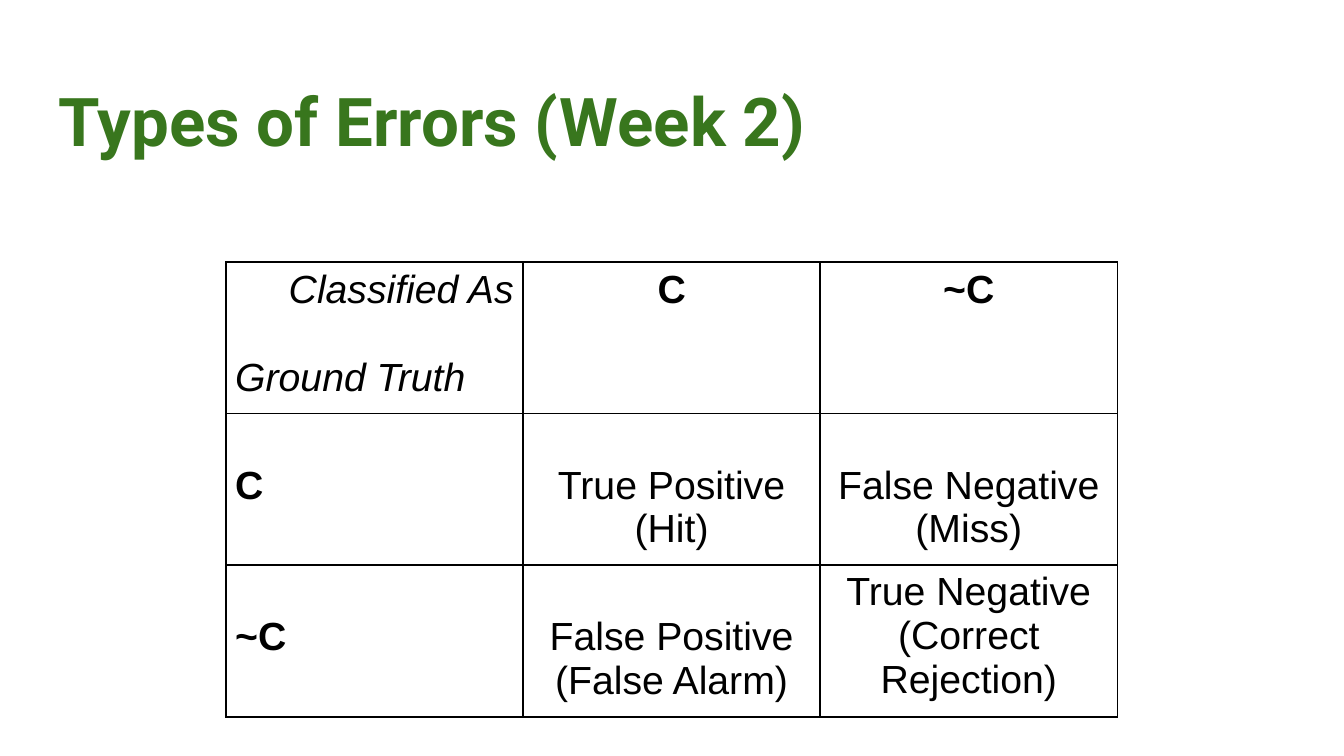
import pptx
import pptx.util
import pptx.dml.color
import pptx.enum.text
import pptx.oxml

Pt = pptx.util.Pt
RGB = pptx.dml.color.RGBColor.from_string
ALIGN = pptx.enum.text.PP_ALIGN
COLORS = {"title": "38761D", "text": "000000", "border": "000000"}
LINE_HEIGHT = 24
NAMESPACE = "http://schemas.openxmlformats.org/drawingml/2006/main"

presentation = pptx.Presentation()
presentation.slide_width = Pt(720)
presentation.slide_height = Pt(405)
slide = presentation.slides.add_slide(presentation.slide_layouts[6])


def style(paragraph, name, size, color, bold=False, italic=False):
    paragraph.font.name = name
    paragraph.font.size = Pt(size)
    paragraph.font.color.rgb = RGB(color)
    paragraph.font.bold = bold
    paragraph.font.italic = italic


def add_borders(cell):
    properties = cell._tc.get_or_add_tcPr()
    for position, side in enumerate(("lnL", "lnR", "lnT", "lnB")):
        border = pptx.oxml.parse_xml(
            f'<a:{side} xmlns:a="{NAMESPACE}" w="{Pt(1)}"><a:solidFill>'
            f'<a:srgbClr val="{COLORS["border"]}"/></a:solidFill></a:{side}>'
        )
        properties.insert(position, border)


title = slide.shapes.add_textbox(Pt(24.5), Pt(35.3), Pt(671), Pt(45.4))
title_frame = title.text_frame
title_frame.word_wrap = True
title_frame.margin_left = title_frame.margin_right = Pt(7.2)
title_frame.margin_top = title_frame.margin_bottom = Pt(7.2)
title_frame.text = "Types of Errors (Week 2)"
style(title_frame.paragraphs[0], "Roboto", 36, COLORS["title"], bold=True)

rows = [
    ["Classified As\nGround Truth", "C", "~C"],
    ["C", "True Positive\n(Hit)", "False Negative\n(Miss)"],
    ["~C", "False Positive\n(False Alarm)", "True Negative\n(Correct Rejection)"],
]
lowered_cells = {(1, 0), (1, 1), (1, 2), (2, 0), (2, 1)}

table = slide.shapes.add_table(3, 3, Pt(121), Pt(140.4), Pt(477.6), Pt(243.3)).table
table.first_row = table.horz_banding = False
for column in table.columns:
    column.width = Pt(159.2)
for row in table.rows:
    row.height = Pt(81.1)

for row_index, texts in enumerate(rows):
    for column_index, text in enumerate(texts):
        cell = table.cell(row_index, column_index)
        corner = row_index == column_index == 0
        lowered = (row_index, column_index) in lowered_cells
        cell.margin_left = cell.margin_right = Pt(5)
        cell.margin_top = Pt(3 + LINE_HEIGHT * lowered)
        cell.margin_bottom = Pt(3)
        cell.fill.background()
        add_borders(cell)
        cell.text = text
        header = (row_index == 0 or column_index == 0) and not corner
        for paragraph in cell.text_frame.paragraphs:
            paragraph.alignment = ALIGN.LEFT if column_index == 0 else ALIGN.CENTER
            style(paragraph, "Arial", 21, COLORS["text"], bold=header, italic=corner)

classified, truth = table.cell(0, 0).text_frame.paragraphs
classified.alignment = ALIGN.RIGHT
truth.space_before = Pt(LINE_HEIGHT)

presentation.save("out.pptx")
